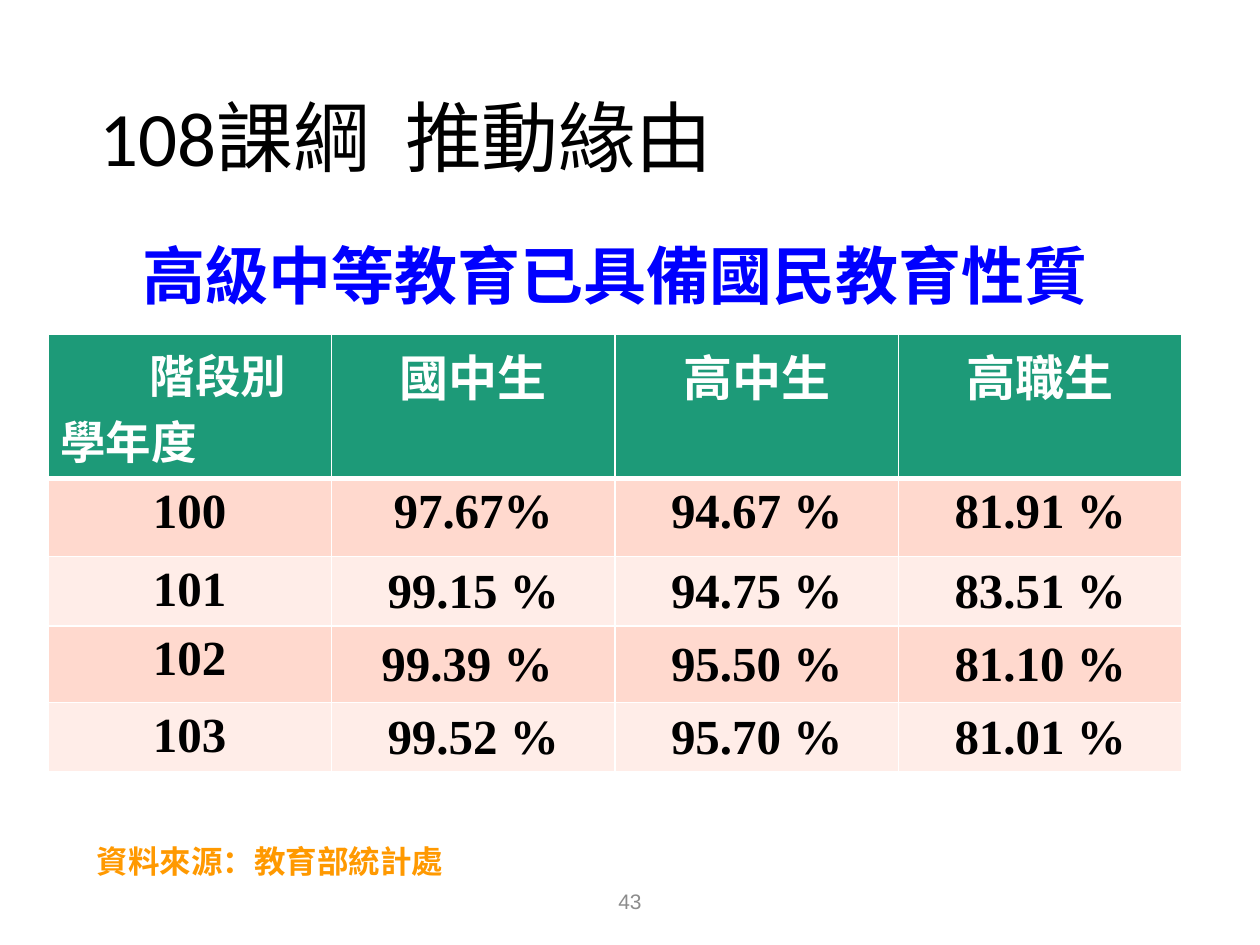
from dataclasses import dataclass

from lxml.etree import SubElement
from pptx import Presentation
from pptx.dml.color import RGBColor
from pptx.enum.text import MSO_ANCHOR as Anchor, PP_ALIGN as Align
from pptx.oxml.ns import qn
from pptx.util import Pt

PX = 9144  # one px is a hundredth of an inch


@dataclass(frozen=True)
class Theme:
    serif: str = "Times New Roman"
    sans: str = "Calibri"
    plain: str = "Arial"
    black: str = "000000"
    white: str = "FFFFFF"
    blue: str = "0000FF"
    orange: str = "FF9900"
    gray: str = "8C8C8C"
    header: str = "1D9A78"
    bands: tuple[str, str] = ("FFD9CE", "FFEDE8")
    title_size: int = 44
    subtitle_size: int = 36
    table_size: int = 28
    corner_size: int = 26
    source_size: int = 18
    number_size: int = 12


T = Theme()


@dataclass(frozen=True)
class Label:
    text: str
    box: tuple[int, int, int, int]
    size: int
    color: str
    font: str = T.serif
    bold: bool = False
    align: Align = Align.LEFT
    anchor: Anchor = Anchor.MIDDLE
    spacing: float = 1.0


LABELS = [
    Label("43", (331, 695, 338, 40), T.number_size, T.gray, T.plain, align=Align.CENTER),
    Label("高級中等教育已具備國民教育性質", (38, 170, 900, 95), T.subtitle_size, T.blue,
          bold=True, align=Align.CENTER),
    Label("資料來源：教育部統計處", (67, 663, 307, 40), T.source_size, T.orange,
          bold=True, anchor=Anchor.TOP),
    Label("108課綱  推動緣由", (69, 40, 862, 145), T.title_size, T.black, T.sans, spacing=0.9),
]

TABLE_BOX = (38, 265, 900, 336)
ROW_HEIGHTS = (97, 62, 55, 61, 55)
CORNER = ("階段別", "學年度")
CORNER_INDENT = 71
ROWS = [
    ("", "國中生", "高中生", "高職生"),
    ("100", "97.67%", "94.67 %", "81.91 %"),
    ("101", "99.15 %", "94.75 %", "83.51 %"),
    ("102", "99.39 % ", "95.50 %", "81.10 %"),
    ("103", "99.52 %", "95.70 %", "81.01 %"),
]


def write(p, text: str, *, size: int, color: str, font: str = T.serif,
          bold: bool = False, align: Align = Align.LEFT, spacing: float = 1.0) -> None:
    p.alignment = align
    p.line_spacing = spacing
    r = p.add_run()
    r.text = text
    r.font.name, r.font.size, r.font.bold = font, Pt(size), bold
    r.font.color.rgb = RGBColor.from_string(color)


def add_label(slide, label: Label) -> None:
    tf = slide.shapes.add_textbox(*(v * PX for v in label.box)).text_frame
    tf.word_wrap = True
    tf.vertical_anchor = label.anchor
    write(tf.paragraphs[0], label.text, size=label.size, color=label.color, font=label.font,
          bold=label.bold, align=label.align, spacing=label.spacing)


def style_cell(cell, fill: str, top: int, bottom: int) -> None:
    tc_pr = cell._tc.get_or_add_tcPr()
    for side, width in (("L", 1), ("R", 1), ("T", top), ("B", bottom)):
        ln = SubElement(tc_pr, qn(f"a:ln{side}"), w=str(Pt(width)))
        SubElement(SubElement(ln, qn("a:solidFill")), qn("a:srgbClr"), val=T.white)
    cell.fill.solid()
    cell.fill.fore_color.rgb = RGBColor.from_string(fill)


def write_corner(cell) -> None:
    tf = cell.text_frame
    first, second = tf.paragraphs[0], tf.add_paragraph()
    for p, text in zip((first, second), CORNER):
        write(p, text, size=T.corner_size, color=T.white, bold=True)
    p_pr = first._p.get_or_add_pPr()
    p_pr.set("marL", str(CORNER_INDENT * PX))
    p_pr.set("indent", "0")


def add_rates(slide) -> None:
    table = slide.shapes.add_table(len(ROWS), len(ROWS[0]), *(v * PX for v in TABLE_BOX)).table
    table.first_row = table.horz_banding = False
    for i, (height, values) in enumerate(zip(ROW_HEIGHTS, ROWS)):
        table.rows[i].height = height * PX
        fill = T.bands[(i - 1) % 2] if i else T.header
        for j, text in enumerate(values):
            cell = table.cell(i, j)
            style_cell(cell, fill, top=3 if i == 1 else 1, bottom=1 if i else 3)
            if i == j == 0:
                write_corner(cell)
                continue
            # Rates from the second data row on are centred with tight margins
            if i > 1 and j:
                cell.vertical_anchor = Anchor.MIDDLE
                cell.margin_left = cell.margin_right = cell.margin_top = PX
                cell.margin_bottom = 0
            write(cell.text_frame.paragraphs[0], text, size=T.table_size,
                  color=T.black if i else T.white, bold=True, align=Align.CENTER)


def main() -> None:
    prs = Presentation()
    prs.slide_width, prs.slide_height = 1000 * PX, 750 * PX
    slide = prs.slides.add_slide(prs.slide_layouts[6])
    # Enrolment rates by year and stage
    add_rates(slide)
    # Page number, headings and source
    for label in LABELS:
        add_label(slide, label)
    prs.save("out.pptx")


if __name__ == "__main__":
    main()
